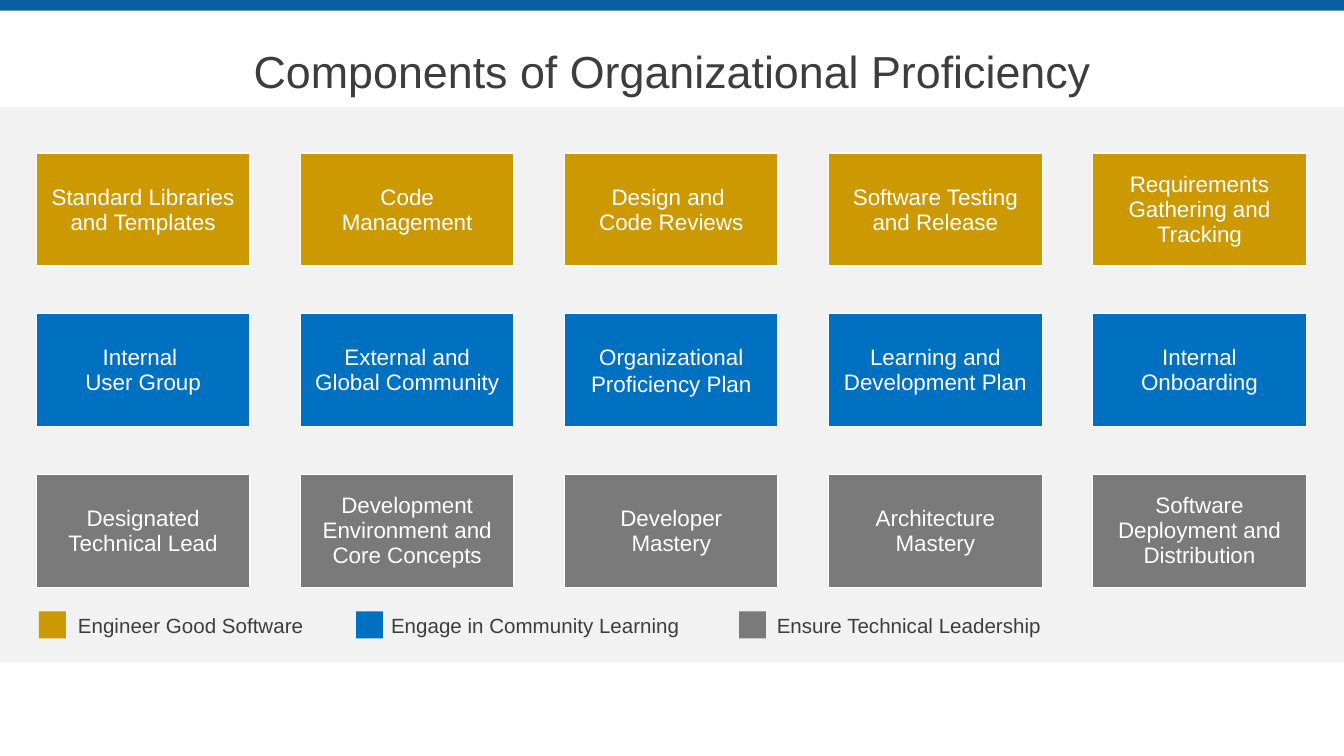
from dataclasses import dataclass
from typing import Optional

from pptx import Presentation
from pptx.dml.color import RGBColor
from pptx.enum.shapes import MSO_SHAPE as Shape
from pptx.enum.text import MSO_ANCHOR as Anchor, PP_ALIGN as Align
from pptx.util import Inches, Pt


@dataclass(frozen=True)
class Theme:
    font: str = "Arial"
    white: str = "FFFFFF"
    text: str = "3D3D3D"
    bar: str = "0A60A3"
    panel: str = "F2F2F2"
    gold: str = "CC9901"
    blue: str = "0070C0"
    gray: str = "7A7A7A"
    title_size: float = 24
    card_size: float = 12
    legend_size: float = 11
    card_leading: float = 13.4


@dataclass(frozen=True)
class Card:
    text: str
    leading: Optional[float] = Theme.card_leading


@dataclass(frozen=True)
class Category:
    label: str
    color: str
    legend_left: float
    label_left: float
    label_width: float
    cards: tuple[Card, ...]


THEME = Theme()
CATEGORIES = (
    Category("Engineer Good Software", THEME.gold, 0.29, 0.58, 1.89, (
        Card("Standard Libraries and Templates"),
        Card("Code Management"),
        Card("Design and \vCode Reviews"),
        Card("Software Testing and Release"),
        Card("Requirements Gathering and Tracking"),
    )),
    Category("Engage in Community Learning", THEME.blue, 2.65, 2.91, 2.36, (
        Card("Internal \vUser Group"),
        Card("External and Global Community"),
        Card("Organizational Proficiency Plan", leading=None),
        Card("Learning and Development Plan"),
        Card("Internal Onboarding"),
    )),
    Category("Ensure Technical Leadership", THEME.gray, 5.5, 5.78, 2.2, (
        Card("Designated Technical Lead"),
        Card("Development Environment and Core Concepts"),
        Card("Developer Mastery"),
        Card("Architecture Mastery"),
        Card("Software Deployment and Distribution"),
    )),
)

SLIDE_W = 10
SLIDE_H = SLIDE_W * 9 / 16
CARD_W, CARD_H = 1.59, 0.84
FIRST_LEFT, LAST_LEFT = 0.27, 8.13
FIRST_TOP, LAST_TOP = 1.14, 3.53
COLUMN_STEP = (LAST_LEFT - FIRST_LEFT) / (len(CATEGORIES[0].cards) - 1)
ROW_STEP = (LAST_TOP - FIRST_TOP) / (len(CATEGORIES) - 1)
SWATCH_TOP, SWATCH_SIZE = 4.55, 0.2
LABEL_TOP, LABEL_H = 4.51, 0.29


def add_rect(s, left: float, top: float, width: float, height: float,
             fill: str, line: Optional[str] = None):
    sp = s.shapes.add_shape(Shape.RECTANGLE, Inches(left), Inches(top),
                            Inches(width), Inches(height))
    sp.shadow.inherit = False
    sp.fill.solid()
    sp.fill.fore_color.rgb = RGBColor.from_string(fill)
    if line:
        sp.line.color.rgb = RGBColor.from_string(line)
        sp.line.width = Pt(0.75)
    else:
        sp.line.fill.background()
    return sp


def set_text(sp, text: str, size: float, color: str, align: Align,
             anchor: Anchor, inset: float = 0.1):
    """Fill a shape with one styled paragraph and return the paragraph."""
    tf = sp.text_frame
    tf.word_wrap = True
    tf.vertical_anchor = anchor
    tf.margin_left = tf.margin_right = Inches(inset)
    tf.margin_top = tf.margin_bottom = Inches(0.05)
    tf.text = text
    p = tf.paragraphs[0]
    p.alignment = align
    for r in p.runs:
        r.font.name = THEME.font
        r.font.size = Pt(size)
        r.font.color.rgb = RGBColor.from_string(color)
    return p


def add_title(s, text: str) -> None:
    sp = s.shapes.add_textbox(Inches(0.5), Inches(0.3), Inches(9), Inches(0.5))
    p = set_text(sp, text, THEME.title_size, THEME.text, Align.CENTER,
                 Anchor.MIDDLE, inset=0)
    p.line_spacing = 0.9


def add_card(s, card: Card, left: float, top: float, color: str) -> None:
    sp = add_rect(s, left, top, CARD_W, CARD_H, color, THEME.white)
    p = set_text(sp, card.text, THEME.card_size, THEME.white, Align.CENTER,
                 Anchor.MIDDLE)
    if card.leading:
        p.line_spacing = Pt(card.leading)


def add_legend_entry(s, category: Category) -> None:
    add_rect(s, category.legend_left, SWATCH_TOP, SWATCH_SIZE, SWATCH_SIZE,
             category.color)
    sp = s.shapes.add_textbox(Inches(category.label_left), Inches(LABEL_TOP),
                              Inches(category.label_width), Inches(LABEL_H))
    set_text(sp, category.label, THEME.legend_size, THEME.text, Align.LEFT,
             Anchor.TOP, inset=0)


def main() -> None:
    prs = Presentation()
    prs.slide_width, prs.slide_height = Inches(SLIDE_W), Inches(SLIDE_H)
    s = prs.slides.add_slide(prs.slide_layouts[6])

    add_rect(s, 0, 0, SLIDE_W, 0.08, THEME.bar)
    add_rect(s, 0, 0.8, SLIDE_W, 4.13, THEME.panel)
    add_title(s, "Components of Organizational Proficiency")

    for row, category in enumerate(CATEGORIES):
        add_legend_entry(s, category)
        for column, card in enumerate(category.cards):
            add_card(s, card, FIRST_LEFT + column * COLUMN_STEP,
                     FIRST_TOP + row * ROW_STEP, category.color)

    prs.save("out.pptx")


if __name__ == "__main__":
    main()
